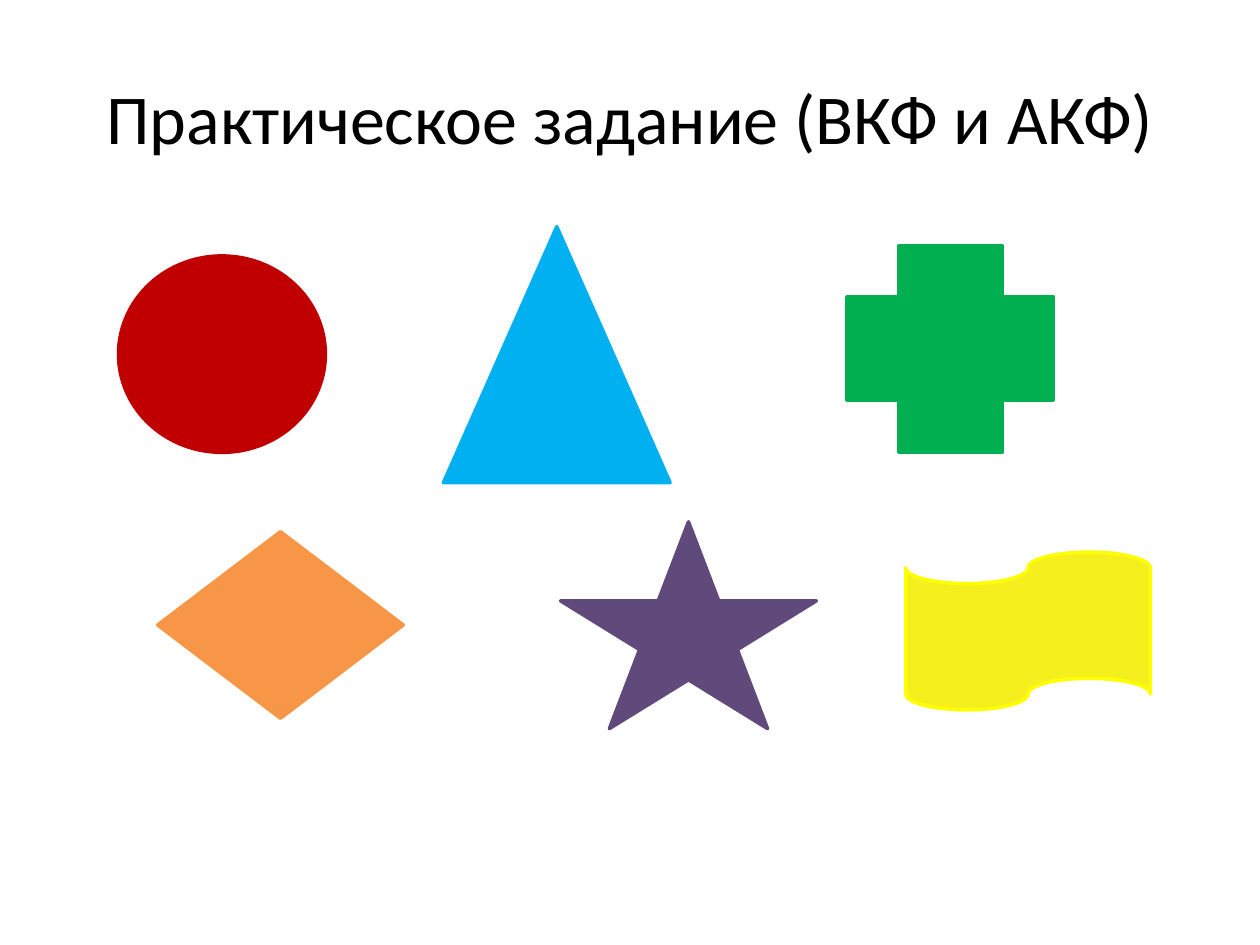
from pptx import Presentation
from pptx.dml.color import RGBColor
from pptx.enum.shapes import MSO_SHAPE
from pptx.enum.text import MSO_ANCHOR, PP_ALIGN
from pptx.util import Cm, Pt

# Content: title and figures as (preset, colour name, left, top, width, height) in cm
TITLE = "Практическое задание (ВКФ и АКФ)"
TITLE_BOX = (1.27, 0.76, 22.86, 3.18)
FIGURES = [
    (MSO_SHAPE.OVAL, "red", 2.39, 5.16, 4.17, 3.96),
    (MSO_SHAPE.ISOSCELES_TRIANGLE, "blue", 8.94, 4.57, 4.57, 5.16),
    (MSO_SHAPE.CROSS, "green", 17.07, 4.95, 4.17, 4.17),
    (MSO_SHAPE.FLOWCHART_DECISION, "orange", 3.18, 10.72, 4.95, 3.76),
    (MSO_SHAPE.STAR_5_POINT, "purple", 11.3, 10.52, 5.16, 4.17),
    (MSO_SHAPE.FLOWCHART_PUNCHED_TAPE, "yellow", 18.26, 11.13, 4.93, 3.18),
]

# Theme: each figure colour is a (fill, line) pair
THEME = {
    "background": "FFFFFF",
    "text": "000000",
    "font": "Calibri",
    "title_size": 40,
    "line_width": 2,
    "red": ("C00000", "C00000"),
    "blue": ("00B0F0", "00B0F0"),
    "green": ("00B050", "00B050"),
    "orange": ("F79646", "F79646"),
    "purple": ("604A7B", "604A7B"),
    "yellow": ("F4EF1D", "FFFF00"),
}


def rgb(code):
    return RGBColor.from_string(code)


def apply(obj, formats):
    for name, value in formats.items():
        setattr(obj, name, value)


def box(lengths):
    return [Cm(length) for length in lengths]


def set_title(s):
    sp = s.shapes.title
    apply(sp, dict(zip(("left", "top", "width", "height"), box(TITLE_BOX))))
    tf = sp.text_frame
    apply(tf, {"word_wrap": True, "vertical_anchor": MSO_ANCHOR.MIDDLE})
    p = tf.paragraphs[0]
    p.alignment = PP_ALIGN.CENTER
    r = p.add_run()
    r.text = TITLE
    apply(r.font, {"name": THEME["font"], "size": Pt(THEME["title_size"])})
    r.font.color.rgb = rgb(THEME["text"])


def add_figure(s, preset, colour, *lengths):
    fill, line = THEME[colour]
    sp = s.shapes.add_shape(preset, *box(lengths))
    sp.shadow.inherit = False
    sp.fill.solid()
    sp.fill.fore_color.rgb = rgb(fill)
    sp.line.color.rgb = rgb(line)
    sp.line.width = Pt(THEME["line_width"])


def main():
    prs = Presentation()
    apply(prs, {"slide_width": Cm(25.4), "slide_height": Cm(19.05)})
    s = prs.slides.add_slide(prs.slide_layouts[5])
    s.background.fill.solid()
    s.background.fill.fore_color.rgb = rgb(THEME["background"])
    set_title(s)
    for figure in FIGURES:
        add_figure(s, *figure)
    prs.save("out.pptx")


if __name__ == "__main__":
    main()
